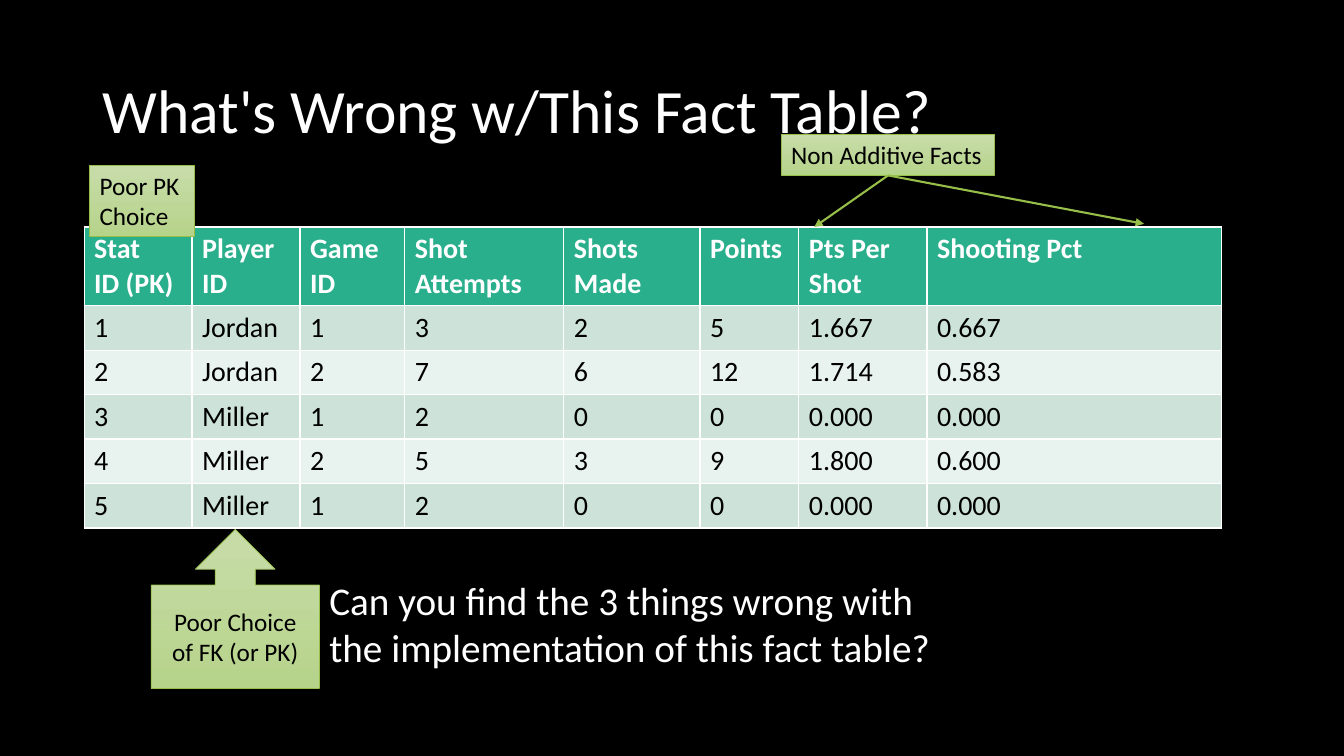
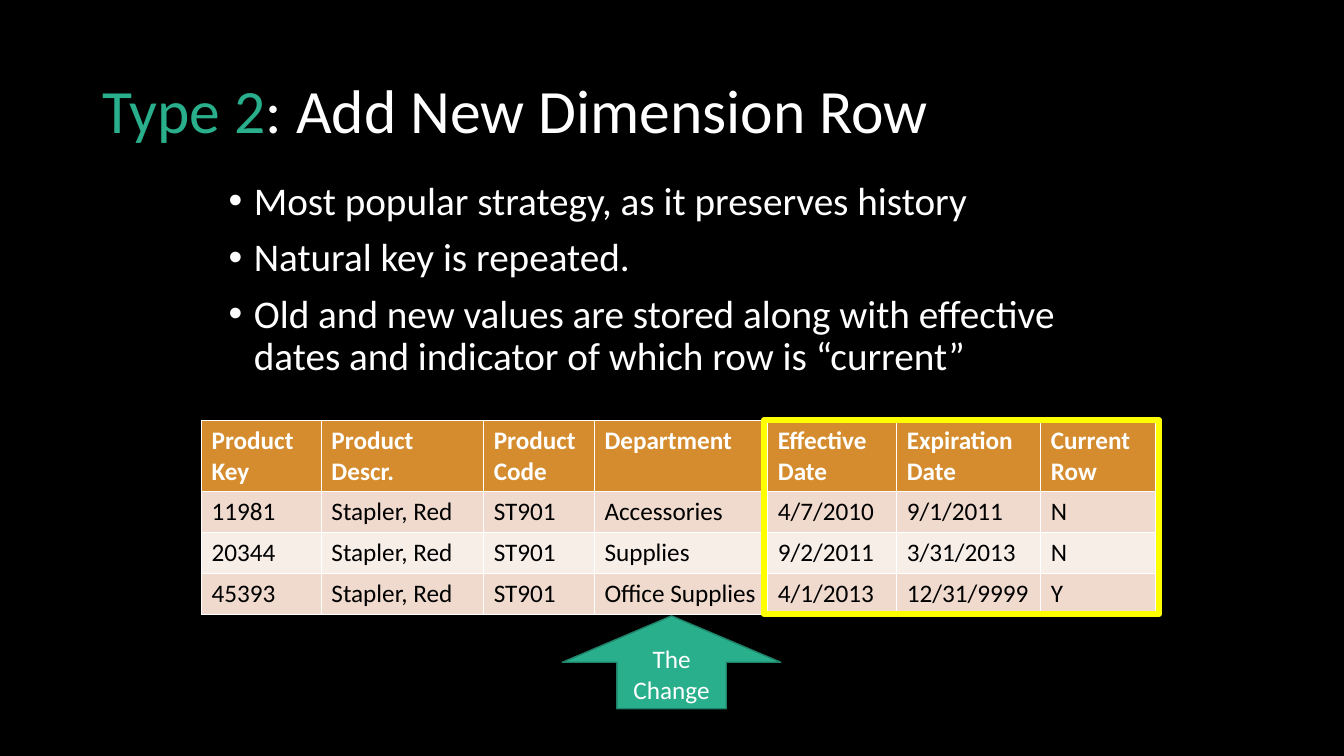
from lxml import etree
from pptx import Presentation
from pptx.dml.color import RGBColor
from pptx.enum.shapes import MSO_CONNECTOR, MSO_SHAPE
from pptx.enum.text import MSO_ANCHOR, MSO_AUTO_SIZE, PP_ALIGN
from pptx.oxml.ns import qn
from pptx.util import Cm, Pt

RECTANGLE = MSO_SHAPE.RECTANGLE
UP_ARROW = MSO_SHAPE.UP_ARROW
UP_ARROW_CALLOUT = MSO_SHAPE.UP_ARROW_CALLOUT
STRAIGHT = MSO_CONNECTOR.STRAIGHT
TOP, MIDDLE = MSO_ANCHOR.TOP, MSO_ANCHOR.MIDDLE
LEFT, CENTER = PP_ALIGN.LEFT, PP_ALIGN.CENTER
NO_AUTOFIT = MSO_AUTO_SIZE.NONE

FONT = "Calibri"
TITLE_ONLY_LAYOUT = 5
BOTTOM_SITE = 2
COLORS = {
    "black": "000000",
    "white": "FFFFFF",
    "teal": "29AF8C",
    "teal_dark": "1E8168",
    "teal_band": "CDE3DA",
    "teal_pale": "E8F2EE",
    "orange": "D58C2E",
    "orange_band": "EFDACD",
    "orange_pale": "F7EEE8",
    "green_line": "97BE49",
    "green_light": "C8DCA9",
    "green_deep": "B6D38A",
    "yellow": "FFFF00",
}
TITLE_BOX = (2.33, 1.02, 29.21, 3.68)

STAT_COLUMNS = [2.72, 2.72, 2.64, 4.01, 3.43, 2.49, 3.23, 7.42]
STAT_ROWS = [
    ["Stat\nID (PK)", "Player ID", "Game ID", "Shot Attempts", "Shots Made",
     "Points", "Pts Per Shot", "Shooting Pct"],
    ["1", "Jordan", "1", "3", "2", "5", "1.667", "0.667"],
    ["2", "Jordan", "2", "7", "6", "12", "1.714", "0.583"],
    ["3", "Miller", "1", "2", "0", "0", "0.000", "0.000"],
    ["4", "Miller", "2", "5", "3", "9", "1.800", "0.600"],
    ["5", "Miller", "1", "2", "0", "0", "0.000", "0.000"],
]
PRODUCT_COLUMNS = [3.02, 4.09, 2.79, 4.37, 3.25, 3.63, 2.9]
PRODUCT_ROWS = [
    ["Product Key", "Product Descr.", "Product Code", "Department",
     "Effective Date", "Expiration Date", "Current Row"],
    ["11981", "Stapler, Red", "ST901", "Accessories", "4/7/2010", "9/1/2011", "N"],
    ["20344", "Stapler, Red", "ST901", "Supplies", "9/2/2011", "3/31/2013", "N"],
    ["45393", "Stapler, Red", "ST901", "Office Supplies", "4/1/2013", "12/31/9999", "Y"],
]
STRATEGY_POINTS = [
    "Most popular strategy, as it preserves history",
    "Natural key is repeated.",
    "Old and new values are stored along with effective dates and indicator "
    "of which row is “current”",
]


def rgb(color):
    return RGBColor.from_string(COLORS[color])


def lengths(*values):
    return [Cm(value) for value in values]


def set_attributes(target, values):
    for name, value in values.items():
        setattr(target, name, value)


def format_run(run, size, color, bold=False):
    set_attributes(run.font, {"name": FONT, "size": Pt(size), "bold": bold})
    run.font.color.rgb = rgb(color)


def write(text_frame, texts, size, color, bold=False, **paragraph_format):
    """Write one paragraph per text; a newline inside a text is a line break."""
    for index, text in enumerate(texts):
        paragraph = text_frame.add_paragraph() if index else text_frame.paragraphs[0]
        paragraph.text = text
        set_attributes(paragraph, paragraph_format)
        for run in paragraph.runs:
            format_run(run, size, color, bold)


def add_titled_slide(presentation, *title_runs):
    """Add a slide whose title is made of (text, color) runs."""
    layout = presentation.slide_layouts[TITLE_ONLY_LAYOUT]
    slide = presentation.slides.add_slide(layout)
    title = slide.shapes.title
    places = zip(("left", "top", "width", "height"), lengths(*TITLE_BOX))
    set_attributes(title, dict(places))
    set_attributes(title.text_frame, {
        "vertical_anchor": MIDDLE, "auto_size": NO_AUTOFIT, "word_wrap": True})
    paragraph = title.text_frame.paragraphs[0]
    set_attributes(paragraph, {"alignment": LEFT, "line_spacing": 0.9})
    for text, color in title_runs:
        run = paragraph.add_run()
        run.text = text
        format_run(run, 44, color)
    return slide


def add_text(slide, box, texts, size, wrap=True, **paragraph_format):
    text_frame = slide.shapes.add_textbox(*lengths(*box)).text_frame
    text_frame.word_wrap = wrap
    write(text_frame, texts, size, "white", **paragraph_format)
    return text_frame


def add_bullets(slide, box, texts):
    text_frame = add_text(slide, box, texts, 28, line_spacing=0.9)
    for index, paragraph in enumerate(text_frame.paragraphs):
        if index:
            paragraph.space_before = Pt(10)
        properties = paragraph._p.get_or_add_pPr()
        properties.set("marL", str(Cm(0.64)))
        properties.set("indent", str(-Cm(0.64)))
        etree.SubElement(properties, qn("a:buFont")).set("typeface", "Arial")
        etree.SubElement(properties, qn("a:buChar")).set("char", "•")


def add_table(slide, position, rows, column_widths, row_heights, size, theme):
    """Add a banded table; row_heights is (header, body), theme a color family."""
    header_height, body_height = row_heights
    heights = [header_height] + [body_height] * (len(rows) - 1)
    box = lengths(*position, sum(column_widths), sum(heights))
    table = slide.shapes.add_table(len(rows), len(column_widths), *box).table
    for column, width in zip(table.columns, column_widths):
        column.width = Cm(width)
    for row_index, (row, height, texts) in enumerate(zip(table.rows, heights, rows)):
        row.height = Cm(height)
        is_header = row_index == 0
        band = f"{theme}_band" if row_index % 2 else f"{theme}_pale"
        for cell, text in zip(row.cells, texts):
            cell.fill.solid()
            cell.fill.fore_color.rgb = rgb(theme if is_header else band)
            write(cell.text_frame, [text], size,
                  "white" if is_header else "black", is_header)


def add_outlined_shape(shapes, kind, box, line_color, line_width):
    shape = shapes.add_shape(kind, *lengths(*box))
    shape.shadow.inherit = False
    shape.line.color.rgb = rgb(line_color)
    shape.line.width = Pt(line_width)
    return shape


def add_note(shapes, kind, box, texts, alignment=LEFT, anchor=TOP, wrap=True):
    """Add a green gradient label that comments on the table."""
    note = add_outlined_shape(shapes, kind, box, "green_line", 0.5)
    note.fill.gradient()
    note.fill.gradient_angle = 270
    for stop, color in zip(note.fill.gradient_stops, ("green_light", "green_deep")):
        stop.color.rgb = rgb(color)
    set_attributes(note.text_frame, {"vertical_anchor": anchor, "word_wrap": wrap})
    write(note.text_frame, texts, 18, "black", alignment=alignment)
    return note


def add_arrow_from(shapes, note, end):
    """Draw an arrow from the bottom middle of a note to the end point."""
    start = (note.left + note.width // 2, note.top + note.height)
    arrow = shapes.add_connector(STRAIGHT, *start, *lengths(*end))
    arrow.begin_connect(note, BOTTOM_SITE)
    arrow.line.color.rgb = rgb("green_line")
    arrow.line.width = Pt(1.5)
    etree.SubElement(arrow.line._get_or_add_ln(), qn("a:tailEnd")).set("type", "triangle")
    etree.SubElement(arrow._element.spPr, qn("a:effectLst"))


def build_fact_table_slide(presentation):
    slide = add_titled_slide(presentation, ("What's Wrong w/This Fact Table?", "white"))
    add_table(slide, (2.12, 5.72), STAT_ROWS, STAT_COLUMNS, (1.98, 1.12), 20, "teal")
    add_note(slide.shapes, UP_ARROW_CALLOUT, (3.81, 13.34, 4.24, 4.01),
             ["Poor Choice of FK (or PK)"], CENTER, MIDDLE)
    group = slide.shapes.add_group_shape()
    facts_note = add_note(group.shapes, RECTANGLE, (19.69, 3.38, 5.38, 1.04),
                          ["Non Additive Facts"], wrap=False)
    for end in ((28.83, 5.64), (20.52, 5.72)):
        add_arrow_from(group.shapes, facts_note, end)
    add_note(slide.shapes, RECTANGLE, (2.26, 4.17, 2.64, 1.8), ["Poor PK", "Choice"])
    add_text(slide, (8.05, 14.4, 15.82, 2.64),
             ["Can you find the 3 things wrong with\n"
              "the implementation of this fact table?"], 28, wrap=False)


def build_new_row_slide(presentation):
    slide = add_titled_slide(presentation, ("Type 2", "teal"),
                             (": Add New Dimension Row", "white"))
    add_bullets(slide, (5.51, 4.45, 22.86, 5.72), STRATEGY_POINTS)
    add_table(slide, (5.08, 10.59), PRODUCT_ROWS, PRODUCT_COLUMNS,
              (1.8, 1.03), 18, "orange")
    highlight = add_outlined_shape(slide.shapes, RECTANGLE,
                                   (19.25, 10.59, 9.96, 4.88), "yellow", 4.5)
    highlight.fill.background()
    change_arrow = add_outlined_shape(slide.shapes, UP_ARROW,
                                      (14.17, 15.52, 5.51, 2.34), "teal_dark", 1)
    change_arrow.fill.solid()
    change_arrow.fill.fore_color.rgb = rgb("teal")
    change_arrow.text_frame.vertical_anchor = MIDDLE
    write(change_arrow.text_frame, ["The Change"], 18, "white", alignment=CENTER)


def main():
    presentation = Presentation()
    presentation.slide_width, presentation.slide_height = lengths(33.87, 19.05)
    background = presentation.slide_master.background.fill
    background.solid()
    background.fore_color.rgb = rgb("black")
    build_fact_table_slide(presentation)
    build_new_row_slide(presentation)
    presentation.save("out.pptx")


if __name__ == "__main__":
    main()
